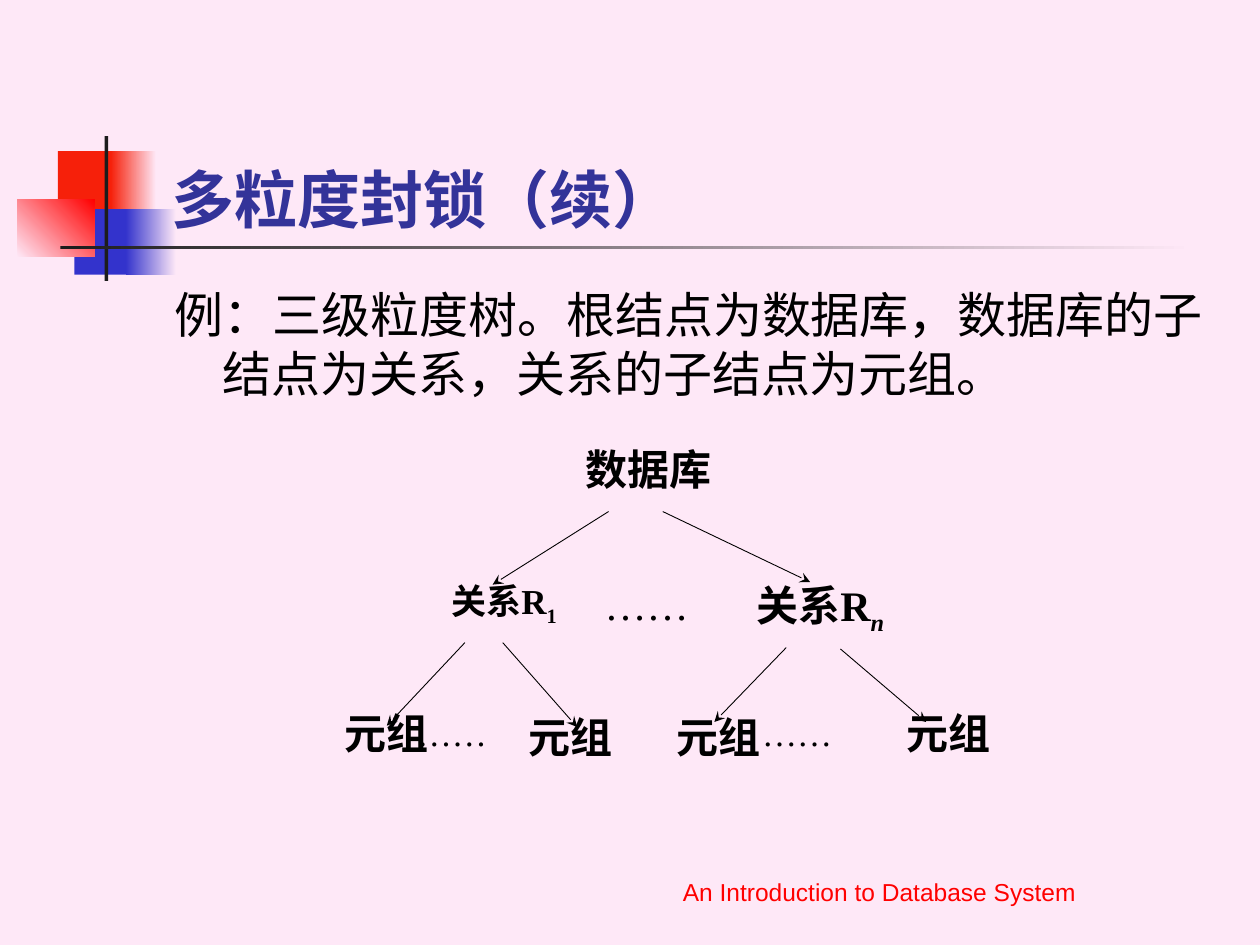
import pptx
import pptx.dml.color
import pptx.enum.shapes
import pptx.enum.text
import pptx.oxml.ns
import pptx.util
from lxml import etree
from pptx.util import Inches

HUES = {
    "page": "FEE8F7", "red": "F6200A", "pure": "FF0000", "blue": "3333CC",
    "dark": "1C1C1C", "title": "333399", "black": "000000",
}
ALIGN = pptx.enum.text.PP_ALIGN
ANCHOR = pptx.enum.text.MSO_ANCHOR
SHAPE = pptx.enum.shapes.MSO_SHAPE
LINK = pptx.enum.shapes.MSO_CONNECTOR
qn = pptx.oxml.ns.qn


def hue(name):
    return pptx.dml.color.RGBColor.from_string(HUES[name])


class Page:
    def __init__(self, slide, face):
        self.slide = slide
        self.face = face
        self.home = slide.shapes
        fill = slide.background.fill
        fill.solid()
        fill.fore_color.rgb = hue("page")

    def group(self):
        self.home = self.slide.shapes.add_group_shape().shapes

    def block(self, box, *names, angle=0):
        shape = self.home.add_shape(SHAPE.RECTANGLE, *map(Inches, box))
        shape.shadow.inherit = False
        shape.line.fill.background()
        if len(names) == 1:
            shape.fill.solid()
            shape.fill.fore_color.rgb = hue(names[0])
            return
        shape.fill.gradient()
        shape.fill.gradient_angle = angle
        for stop, name in zip(shape.fill.gradient_stops, names):
            stop.color.rgb = hue(name)

    def arrow(self, start, end):
        line = self.home.add_connector(LINK.STRAIGHT, *map(Inches, start + end))
        line.line.color.rgb = hue("black")
        line.line.width = pptx.util.Pt(0.5)
        tail = etree.SubElement(line.line._get_or_add_ln(), qn("a:tailEnd"))
        tail.set("type", "stealth")
        etree.SubElement(line._element.spPr, qn("a:effectLst"))

    def text(self, box, words, size, face=None, color="black", bold=False,
             align=ALIGN.LEFT, anchor=ANCHOR.TOP, space=None, sub="", slant=False):
        frame = self.home.add_textbox(*map(Inches, box)).text_frame
        frame.word_wrap = True
        frame.vertical_anchor = anchor
        para = frame.paragraphs[0]
        para.alignment = align
        para.line_spacing = space
        for part in filter(None, (words, sub)):
            run = para.add_run()
            run.text = part
            run.font.name = face or self.face
            run.font.size = pptx.util.Pt(size)
            run.font.bold = bold
            run.font.color.rgb = hue(color)
        if sub:
            run.font.italic = slant
            run._r.get_or_add_rPr().set("baseline", "-25000")
        return para

    def node(self, box, words, size=24, **more):
        self.text(box, words, size, bold=True, align=ALIGN.CENTER, space=0.96, **more)

    def dots(self, box, size):
        self.text(box, "……", size, align=ALIGN.JUSTIFY, space=0.96)


def main():
    deck = pptx.Presentation()
    deck.slide_width, deck.slide_height = Inches(10), Inches(7.5)
    page = Page(deck.slides.add_slide(deck.slide_layouts[6]), "Times New Roman")

    page.block((0.46, 1.2, 0.48, 0.52), "red")
    page.block((0.88, 1.2, 0.36, 0.52), "red", "page")
    page.block((0.59, 1.66, 0.46, 0.52), "blue")
    page.block((1, 1.66, 0.4, 0.52), "blue", "page")
    page.block((0.14, 1.58, 0.61, 0.46), "page", "pure", angle=45)
    page.block((0.83, 1.08, 0.03, 1.15), "dark")
    page.block((0.48, 1.95, 9, 0.03), "dark", "page")

    page.text((4.37, 6.74, 5.22, 0.5), "An Introduction to Database System", 14,
              face="Arial", color="pure", align=ALIGN.CENTER, anchor=ANCHOR.BOTTOM)
    page.text((1.26, 0.67, 8.52, 1.25), "多粒度封锁（续）", 36, face="Cabin",
              color="title", bold=True, anchor=ANCHOR.BOTTOM)
    body = page.text((1.29, 2.21, 8.5, 4.5),
                     "例：三级粒度树。根结点为数据库，数据库的子结点为关系，关系的子结点为元组。",
                     28, face="Cabin")
    body.space_before = pptx.util.Pt(7)
    props = body._p.get_or_add_pPr()
    props.set("marL", str(Inches(0.38)))
    props.set("indent", str(Inches(-0.38)))

    page.group()
    for start, end in (
        ((4.83, 4.06), (3.91, 4.64)), ((5.26, 4.06), (6.43, 4.62)),
        ((3.69, 5.1), (3.07, 5.76)), ((3.99, 5.1), (4.58, 5.77)),
        ((6.24, 5.14), (5.67, 5.73)), ((6.67, 5.15), (7.35, 5.73)),
    ):
        page.arrow(start, end)

    page.node((4.43, 3.5, 1.44, 0.64), "数据库")
    page.node((5.78, 4.55, 1.46, 0.57), "关系R", sub="n", slant=True)
    page.node((3.16, 4.55, 1.68, 0.91), "关系R", 20, sub="1")
    for left, top, width in (
        (2.5, 5.59, 1.14), (6.81, 5.59, 1.44), (3.96, 5.62, 1.14), (5.13, 5.62, 1.14),
    ):
        page.node((left, top, width, 0.59), "元组")
    page.dots((4.7, 4.57, 1.46, 0.48), 24)
    page.dots((5.95, 5.62, 1.46, 0.66), 20)
    page.dots((3.21, 5.62, 1.46, 0.48), 20)

    deck.save("out.pptx")


if __name__ == "__main__":
    main()
